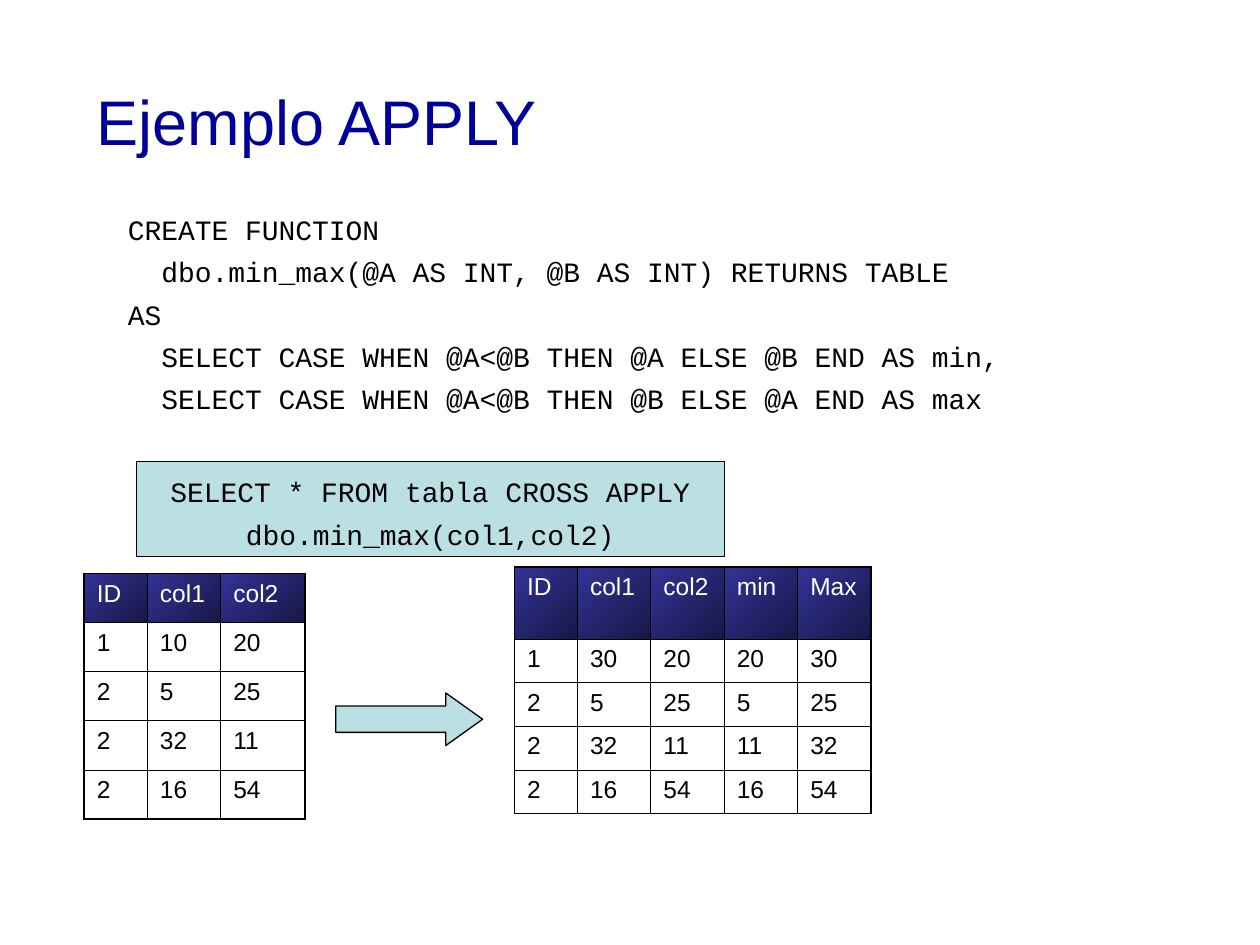
import pptx
import pptx.dml.color
import pptx.enum.shapes
import pptx.enum.text
import pptx.oxml
import pptx.oxml.ns
import pptx.util

Cm = pptx.util.Cm
Pt = pptx.util.Pt
ANCHOR = pptx.enum.text.MSO_ANCHOR
SHAPE = pptx.enum.shapes.MSO_SHAPE

COLORS = {
    "title": "000099",
    "text": "000000",
    "header_text": "FFFFFF",
    "header_dark": "171746",
    "header_light": "333399",
    "accent": "BBE0E3",
    "line": "000000",
}
SANS, MONO = "Arial", "Courier New"
OUTER, INNER = 1.08, 0.45

FUNCTION_CODE = [
    "CREATE FUNCTION",
    "  dbo.min_max(@A AS INT, @B AS INT) RETURNS TABLE",
    "AS",
    "  SELECT CASE WHEN @A<@B THEN @A ELSE @B END AS min,",
    "  SELECT CASE WHEN @A<@B THEN @B ELSE @A END AS max",
]
QUERY_CODE = ["SELECT * FROM tabla CROSS APPLY", "dbo.min_max(col1,col2)"]
INPUT_ROWS = [
    ["ID", "col1", "col2"],
    ["1", "10", "20"],
    ["2", "5", "25"],
    ["2", "32", "11"],
    ["2", "16", "54"],
]
RESULT_ROWS = [
    ["ID", "col1", "col2", "min", "Max"],
    ["1", "30", "20", "20", "30"],
    ["2", "5", "25", "5", "25"],
    ["2", "32", "11", "11", "32"],
    ["2", "16", "54", "16", "54"],
]


def rgb(name):
    return pptx.dml.color.RGBColor.from_string(COLORS[name])


def write_lines(tf, lines, font, size, color, align=None):
    for i, line in enumerate(lines):
        p = tf.paragraphs[0] if i == 0 else tf.add_paragraph()
        p.alignment = align
        if i:
            p.space_before = Pt(5)
        r = p.add_run()
        r.text = line
        r.font.name = font
        r.font.size = Pt(size)
        r.font.color.rgb = rgb(color)


def add_text(s, box, lines, font, size, color, anchor=ANCHOR.TOP):
    tf = s.shapes.add_textbox(*map(Cm, box)).text_frame
    tf.word_wrap = True
    tf.vertical_anchor = anchor
    write_lines(tf, lines, font, size, color)


def add_accent_shape(s, kind, box):
    sp = s.shapes.add_shape(kind, *map(Cm, box))
    sp.shadow.inherit = False
    sp.fill.solid()
    sp.fill.fore_color.rgb = rgb("accent")
    sp.line.color.rgb = rgb("line")
    sp.line.width = Pt(0.75)
    return sp


def set_borders(cell, widths):
    tc_pr = cell._tc.get_or_add_tcPr()
    for side, width in zip("LRTB", widths):
        tc_pr.append(pptx.oxml.parse_xml(
            f'<a:ln{side} {pptx.oxml.ns.nsdecls("a")} w="{Pt(width)}">'
            f'<a:solidFill><a:srgbClr val="{COLORS["line"]}"/></a:solidFill>'
            f'</a:ln{side}>'))


def fill_header(cell):
    cell.fill.gradient()
    cell.fill.gradient_angle = 135
    for stop, name in zip(cell.fill.gradient_stops, ("header_dark", "header_light")):
        stop.color.rgb = rgb(name)


def add_grid(s, left, top, rows, widths, heights):
    n_rows, n_cols = len(rows), len(widths)
    table = s.shapes.add_table(n_rows, n_cols, Cm(left), Cm(top),
                               Cm(sum(widths)), Cm(sum(heights))).table
    table.first_row = table.horz_banding = False
    for column, width in zip(table.columns, widths):
        column.width = Cm(width)
    for i, row in enumerate(rows):
        table.rows[i].height = Cm(heights[i])
        for j, value in enumerate(row):
            cell = table.cell(i, j)
            edges = (j == 0, j == n_cols - 1, i == 0, i == n_rows - 1)
            set_borders(cell, [OUTER if edge else INNER for edge in edges])
            if i == 0:
                fill_header(cell)
            else:
                cell.fill.background()
            write_lines(cell.text_frame, [value], SANS, 14,
                        "text" if i else "header_text")


def main():
    prs = pptx.Presentation()
    prs.slide_width, prs.slide_height = Cm(25.4), Cm(19.05)
    s = prs.slides.add_slide(prs.slide_layouts[6])

    add_text(s, (1.7, 0.85, 21.4, 3.17), ["Ejemplo APPLY"], SANS, 36, "title",
             ANCHOR.MIDDLE)
    add_text(s, (2.33, 4.16, 21.16, 4.3), FUNCTION_CODE, MONO, 16, "text")
    add_grid(s, 1.7, 11.56, INPUT_ROWS, [1.27, 1.48, 1.7], [0.99] * 5)

    query = add_accent_shape(s, SHAPE.RECTANGLE, (2.75, 9.31, 11.85, 1.91))
    tf = query.text_frame
    tf.word_wrap = False
    tf.vertical_anchor = ANCHOR.MIDDLE
    tf.margin_top = Cm(0.27)
    write_lines(tf, QUERY_CODE, MONO, 16, "text", pptx.enum.text.PP_ALIGN.CENTER)

    arrow = add_accent_shape(s, SHAPE.RIGHT_ARROW, (6.77, 13.97, 2.96, 1.06))
    arrow.adjustments[0] = 0.5
    arrow.adjustments[1] = 0.7

    add_grid(s, 10.37, 11.43, RESULT_ROWS, [1.27] + [1.48] * 4,
             [1.45] + [0.88] * 4)
    prs.save("out.pptx")


if __name__ == "__main__":
    main()
